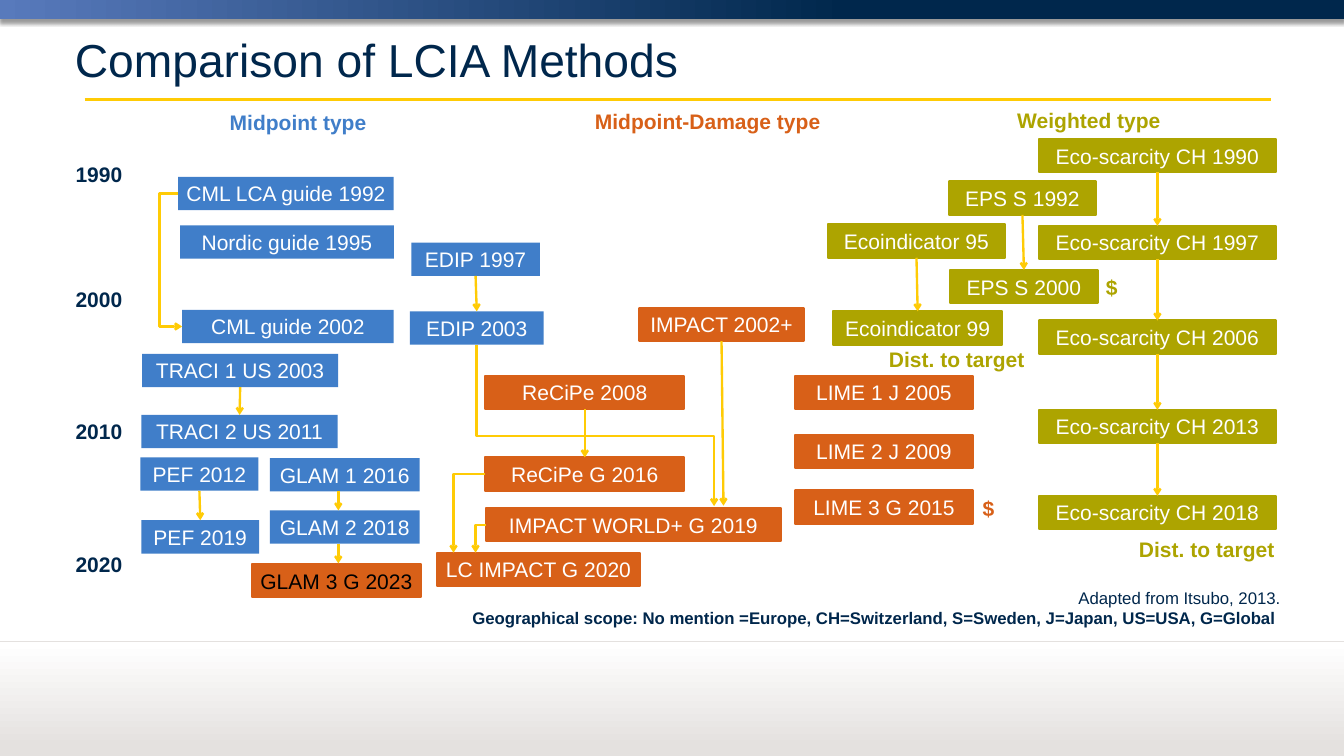
"""Build a one-slide timeline comparing LCIA methods by type."""
from lxml.etree import SubElement
from pptx import Presentation
from pptx.dml.color import RGBColor
from pptx.enum.shapes import MSO_CONNECTOR as CONN, MSO_SHAPE as SHAPE
from pptx.enum.text import MSO_ANCHOR as ANCHOR, PP_ALIGN as ALIGN
from pptx.oxml.ns import qn
from pptx.util import Cm, Pt

NAVY = RGBColor(0x00, 0x27, 0x4C)
SKY = RGBColor(0x58, 0x7A, 0xBC)
BLUE = RGBColor(0x40, 0x7E, 0xC9)
ORANGE = RGBColor(0xD8, 0x60, 0x18)
GREEN = RGBColor(0xAD, 0xA4, 0x00)
YELLOW = RGBColor(0xFF, 0xCB, 0x05)
GREY = RGBColor(0xE4, 0xE1, 0xDF)
WHITE = RGBColor(0xFF, 0xFF, 0xFF)
BLACK = RGBColor(0x00, 0x00, 0x00)


def style_font(font, size, color, bold=False):
    font.name = "Arial"
    font.size = Pt(size)
    font.bold = bold
    font.color.rgb = color


def add_line(kind, x1, y1, x2, y2, color=YELLOW, width=2.25, arrow=True):
    c = shapes.add_connector(kind, Cm(x1), Cm(y1), Cm(x2), Cm(y2))
    c.line.color.rgb = color
    c.line.width = Pt(width)
    if arrow:
        SubElement(c.line._get_or_add_ln(), qn("a:tailEnd"), type="arrow")
    SubElement(c._element.spPr, qn("a:effectLst"))
    return c


prs = Presentation()
prs.slide_width = Cm(45.16)
prs.slide_height = Cm(25.4)
s = prs.slides.add_slide(prs.slide_layouts[5])
shapes = s.shapes

bands = [
    (0, 0.64, 0, (0, SKY), (0.63, NAVY)),
    (21.59, 3.81, 90, (0.08, GREY), (1, WHITE)),
]
for top, height, angle, *stops in bands:
    sp = shapes.add_shape(SHAPE.RECTANGLE, 0, Cm(top), prs.slide_width, Cm(height))
    sp.shadow.inherit = False
    sp.line.fill.background()
    sp.fill.gradient()
    sp.fill.gradient_angle = angle
    for stop, (position, color) in zip(sp.fill.gradient_stops, stops):
        stop.position = position
        stop.color.rgb = color
    if top == 0:
        effects = sp._element.spPr.find(qn("a:effectLst"))
        shadow = SubElement(effects, qn("a:outerShdw"), blurRad="50800",
                            dist="38100", dir="5400000", rotWithShape="0")
        tone = SubElement(shadow, qn("a:srgbClr"), val="000000")
        SubElement(tone, qn("a:alpha"), val="40000")

add_line(CONN.STRAIGHT, 2.84, 3.35, 42.7, 3.35, YELLOW, 3, False)
add_line(CONN.STRAIGHT, 0, 21.56, 45.16, 21.56, GREY, 0.75, False)

title = shapes.title
title.left, title.top, title.width, title.height = Cm(2.26), Cm(0.79), Cm(40.64), Cm(2.41)
tf = title.text_frame
tf.text = "Comparison of LCIA Methods"
tf.vertical_anchor = ANCHOR.MIDDLE
tf.paragraphs[0].alignment = ALIGN.LEFT
style_font(tf.paragraphs[0].runs[0].font, 44, NAVY)

labels = [
    ("Midpoint type", 7.47, 3.56, 5.13, BLUE),
    ("Midpoint-Damage type", 19.74, 3.53, 8.15, ORANGE),
    ("Weighted type", 33.93, 3.48, 5.36, GREEN),
    ("1990", 2.29, 5.31, 2.11, NAVY),
    ("2000", 2.29, 9.5, 2.11, NAVY),
    ("2010", 2.29, 13.92, 2.11, NAVY),
    ("2020", 2.29, 18.39, 2.11, NAVY),
    ("Dist. to target", 29.62, 11.51, 5.11, GREEN),
    ("Dist. to target", 38.02, 17.91, 5.11, GREEN),
    ("$", 36.91, 9.09, 0.91, GREEN),
    ("$", 32.77, 16.54, 0.91, ORANGE),
]
for text, left, top, width, color in labels:
    tf = shapes.add_textbox(Cm(left), Cm(top), Cm(width), Cm(1.12)).text_frame
    tf.word_wrap = False
    tf.text = text
    style_font(tf.paragraphs[0].runs[0].font, 20, color, True)

tf = shapes.add_textbox(Cm(2.64), Cm(19.63), Cm(40.64), Cm(1.83)).text_frame
tf.word_wrap = True
p = tf.paragraphs[0]
p.alignment = ALIGN.RIGHT
r = p.add_run()
r.text = "Adapted from Itsubo, 2013."
style_font(r.font, 16, NAVY)
p.add_line_break()
r = p.add_run()
r.text = ("Geographical scope: No mention =Europe, CH=Switzerland, S=Sweden, "
          "J=Japan, US=USA, G=Global ")
style_font(r.font, 16, NAVY, True)

methods = [
    ("Eco-scarcity CH 1990", 34.9, 4.67, 7.98, GREEN),
    ("Eco-scarcity CH 1997", 34.9, 7.59, 7.98, GREEN),
    ("Eco-scarcity CH 2006", 34.9, 10.77, 7.98, GREEN),
    ("Eco-scarcity CH 2013", 34.9, 13.77, 7.98, GREEN),
    ("Eco-scarcity CH 2018", 34.9, 16.66, 7.98, GREEN),
    ("EPS S 1992", 31.88, 6.1, 4.95, GREEN),
    ("EPS S 2000", 31.93, 9.07, 4.95, GREEN),
    ("Ecoindicator 95", 27.81, 7.54, 5.97, GREEN),
    ("Ecoindicator 99", 27.99, 10.46, 5.69, GREEN),
    ("LIME 1 J 2005", 26.72, 12.62, 5.97, ORANGE),
    ("LIME 2 J 2009", 26.72, 14.61, 5.97, ORANGE),
    ("LIME 3 G 2015", 26.72, 16.48, 5.97, ORANGE),
    ("ReCiPe 2008", 16.31, 12.62, 6.68, ORANGE),
    ("ReCiPe G 2016", 16.31, 15.37, 6.68, ORANGE),
    ("IMPACT 2002+", 21.49, 10.34, 5.51, ORANGE),
    ("IMPACT WORLD+ G 2019", 16.33, 17.07, 9.91, ORANGE),
    ("LC IMPACT G 2020", 14.68, 18.57, 6.83, ORANGE),
    ("GLAM 3 G 2023", 8.46, 18.95, 5.69, ORANGE),
    ("Nordic guide 1995", 6.05, 7.57, 7.19, BLUE),
    ("CML LCA guide 1992", 5.99, 5.94, 7.24, BLUE),
    ("CML guide 2002", 6.12, 10.41, 7.11, BLUE),
    ("TRACI 1 US 2003", 4.78, 11.89, 6.58, BLUE),
    ("TRACI 2 US 2011", 4.75, 13.94, 6.6, BLUE),
    ("EDIP 1997", 13.82, 8.15, 4.32, BLUE),
    ("EDIP 2003", 13.77, 10.46, 4.5, BLUE),
    ("PEF 2012", 4.72, 15.37, 3.96, BLUE),
    ("PEF 2019", 4.75, 17.48, 3.96, BLUE),
    ("GLAM 1 2016", 9.07, 15.39, 5.03, BLUE),
    ("GLAM 2 2018", 9.07, 17.15, 5.03, BLUE),
]
boxes = {}
for text, left, top, width, color in methods:
    sp = shapes.add_shape(SHAPE.RECTANGLE, Cm(left), Cm(top), Cm(width), Cm(1.12))
    sp.shadow.inherit = False
    sp.fill.solid()
    sp.fill.fore_color.rgb = color
    if color == BLUE:
        sp.line.fill.background()
    else:
        sp.line.color.rgb = color
        sp.line.width = Pt(2)
    tf = sp.text_frame
    tf.word_wrap = False
    tf.text = text
    p = tf.paragraphs[0]
    p.alignment = ALIGN.CENTER
    style_font(p.runs[0].font, 20, BLACK if text.startswith("GLAM 3") else WHITE)
    boxes[text] = sp

successions = [
    ("Eco-scarcity CH 1990", "Eco-scarcity CH 1997"),
    ("Eco-scarcity CH 1997", "Eco-scarcity CH 2006"),
    ("Eco-scarcity CH 2006", "Eco-scarcity CH 2013"),
    ("Eco-scarcity CH 2013", "Eco-scarcity CH 2018"),
    ("EPS S 1992", "EPS S 2000"),
    ("Ecoindicator 95", "Ecoindicator 99"),
    ("ReCiPe 2008", "ReCiPe G 2016"),
    ("TRACI 1 US 2003", "TRACI 2 US 2011"),
    ("EDIP 1997", "EDIP 2003"),
    ("PEF 2012", "PEF 2019"),
]
for older, newer in successions:
    c = add_line(CONN.STRAIGHT, 0, 0, 1, 1)
    c.begin_connect(boxes[older], 2)
    c.end_connect(boxes[newer], 0)

c = add_line(CONN.STRAIGHT, 24.23, 11.48, 24.31, 16.99)
c.begin_connect(boxes["IMPACT 2002+"], 2)
add_line(CONN.STRAIGHT, 11.37, 16.51, 11.37, 17.15)
add_line(CONN.STRAIGHT, 11.37, 18.29, 11.37, 18.93)

cml = add_line(CONN.ELBOW, 5.99, 6.5, 6.12, 10.97)
edip = add_line(CONN.ELBOW, 22.71, 10.31, 17.3, 18.29)
edip.rotation = 270
for c, bend in ((cml, -484600), (edip, 56400)):
    geometry = c._element.spPr.find(qn("a:prstGeom"))
    SubElement(geometry.find(qn("a:avLst")), qn("a:gd"), name="adj1", fmla=f"val {bend}")

for x1, y1, x2 in ((16.31, 15.93, 15.24), (16.33, 17.63, 15.98)):
    c = add_line(CONN.ELBOW, x1, y1, x2, 18.57)
    c._element.spPr.find(qn("a:prstGeom")).set("prst", "bentConnector2")

prs.save("out.pptx")
